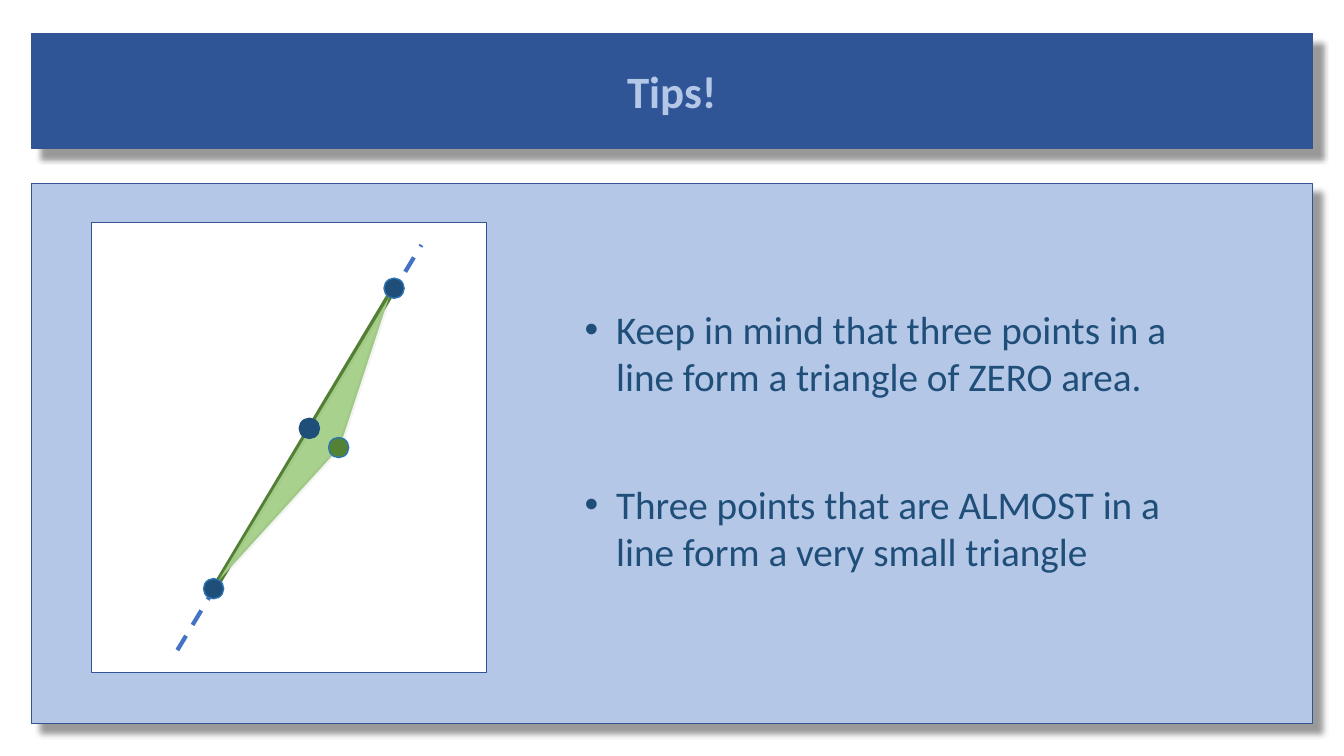
"""Build the slide of tips on three points in a line."""
from lxml import etree
from pptx import Presentation
from pptx.dml.color import RGBColor
from pptx.enum.dml import MSO_LINE
from pptx.enum.shapes import MSO_CONNECTOR, MSO_SHAPE
from pptx.enum.text import MSO_ANCHOR, MSO_AUTO_SIZE, PP_ALIGN
from pptx.oxml.ns import qn
from pptx.util import Pt

RECT, OVAL, STRAIGHT = MSO_SHAPE.RECTANGLE, MSO_SHAPE.OVAL, MSO_CONNECTOR.STRAIGHT
MIDDLE, TOP, CENTER, LEFT = MSO_ANCHOR.MIDDLE, MSO_ANCHOR.TOP, PP_ALIGN.CENTER, PP_ALIGN.LEFT
NO_FIT, DASH = MSO_AUTO_SIZE.NONE, MSO_LINE.DASH

TITLE = "Tips!"
TIPS = [
    "Keep in mind that three points in a line form a triangle of ZERO area.",
    "Three points that are ALMOST in a line form a very small triangle",
]
THEME = {
    "font": "Calibri", "title_size": 32, "body_size": 28,
    "banner": "2F5597", "panel": "B4C7E7", "border": "325491", "text": "1F4E79",
    "white": "FFFFFF", "dash": "4472C4", "green": "548235", "leaf": "A9D18E",
    "leaf_edge": "385723", "ring": "2E75B6", "shadow": "000000",
}
BANNER = (22.3, 23.8, 915.1, 82.1)
PANEL = (22.3, 131, 915.1, 385.9)
CARD = (65.5, 159.1, 282.2, 321.1)
BODY = (410.4, 214.6, 465.1, 200.9)
GUIDE = ((126.7, 464.4), (301, 175))
EDGE = ((152.6, 421.2), (281.5, 205.9))
TRIANGLE = [(156.2, 414.7), (242.6, 319.7), (277.9, 212.4)]
END_DOTS = [((281.5, 205.9), "text", "ring"), ((152.6, 420.5), "text", "ring")]
MID_DOTS = [((221, 306), "text", "text"), ((241.9, 319.7), "green", "ring")]
DOT, INDENT, TIP_GAP = 14.4, 22.5, 57.6


def color(name):
    return RGBColor.from_string(THEME[name])


def paint(sp, fill, line, width=1):
    sp.fill.solid()
    sp.fill.fore_color.rgb = color(fill)
    sp.line.color.rgb = color(line)
    sp.line.width = Pt(width)
    sp.shadow.inherit = False


def place(sp, box):
    sp.left, sp.top, sp.width, sp.height = map(Pt, box)


def cast_shadow(sp):
    effects = sp._element.spPr.find(qn("a:effectLst"))
    shadow = etree.SubElement(effects, qn("a:outerShdw"), blurRad=str(Pt(4)),
                              dist=str(Pt(10)), dir="2700000", algn="tl", rotWithShape="0")
    rgb = etree.SubElement(shadow, qn("a:srgbClr"), val=THEME["shadow"])
    etree.SubElement(rgb, qn("a:alpha"), val="40000")


def add_rect(s, box, fill):
    sp = s.shapes.add_shape(RECT, *map(Pt, box))
    paint(sp, fill, "border")
    return sp


def add_line(s, ends, name, width):
    (x1, y1), (x2, y2) = ends
    line = s.shapes.add_connector(STRAIGHT, Pt(x1), Pt(y1), Pt(x2), Pt(y2))
    line.line.color.rgb = color(name)
    line.line.width = Pt(width)
    etree.SubElement(line._element.spPr, qn("a:effectLst"))
    return line


def add_dots(s, dots):
    for (x, y), fill, ring in dots:
        sp = s.shapes.add_shape(OVAL, Pt(x - DOT / 2), Pt(y - DOT / 2), Pt(DOT), Pt(DOT))
        paint(sp, fill, ring)


def add_triangle(s):
    start, *others = [(Pt(x), Pt(y)) for x, y in TRIANGLE]
    builder = s.shapes.build_freeform(*start)
    builder.add_line_segments(others, close=True)
    sp = builder.convert_to_shape()
    paint(sp, "leaf", "leaf_edge", 3.5)
    rgb = sp.line._ln.find(".//" + qn("a:srgbClr"))
    etree.SubElement(rgb, qn("a:alpha"), val="5000")


def set_font(p, size, name, bold=False):
    for r in p.runs:
        r.font.name = THEME["font"]
        r.font.size = Pt(THEME[size])
        r.font.color.rgb = color(name)
        r.font.bold = bold


def fill_title(sp):
    place(sp, BANNER)
    paint(sp, "banner", "border")
    cast_shadow(sp)
    tf = sp.text_frame
    tf.text = TITLE
    tf.auto_size, tf.vertical_anchor = NO_FIT, MIDDLE
    tf.paragraphs[0].alignment = CENTER
    set_font(tf.paragraphs[0], "title_size", "panel", True)


def fill_body(sp):
    place(sp, BODY)
    tf = sp.text_frame
    tf.text = "\n".join(TIPS)
    tf.auto_size, tf.vertical_anchor, tf.word_wrap = NO_FIT, TOP, True
    for p in tf.paragraphs:
        pPr = p._p.get_or_add_pPr()
        pPr.set("marL", str(Pt(INDENT)))
        pPr.set("indent", str(-Pt(INDENT)))
        p.alignment, p.line_spacing, p.space_before = LEFT, 1.0, Pt(0)
        set_font(p, "body_size", "text")
    tf.paragraphs[0].space_after = Pt(TIP_GAP)


def main():
    prs = Presentation()
    prs.slide_width, prs.slide_height = Pt(960), Pt(540)
    s = prs.slides.add_slide(prs.slide_layouts[1])
    title, body = s.placeholders
    fill_title(title)
    fill_body(body)
    panel = add_rect(s, PANEL, "panel")
    cast_shadow(panel)
    title._element.addprevious(panel._element)
    add_rect(s, CARD, "white")
    add_line(s, GUIDE, "dash", 3).line.dash_style = DASH
    add_line(s, EDGE, "green", 4.5)
    add_dots(s, END_DOTS)
    add_triangle(s)
    add_dots(s, MID_DOTS)
    prs.save("out.pptx")


if __name__ == "__main__":
    main()
